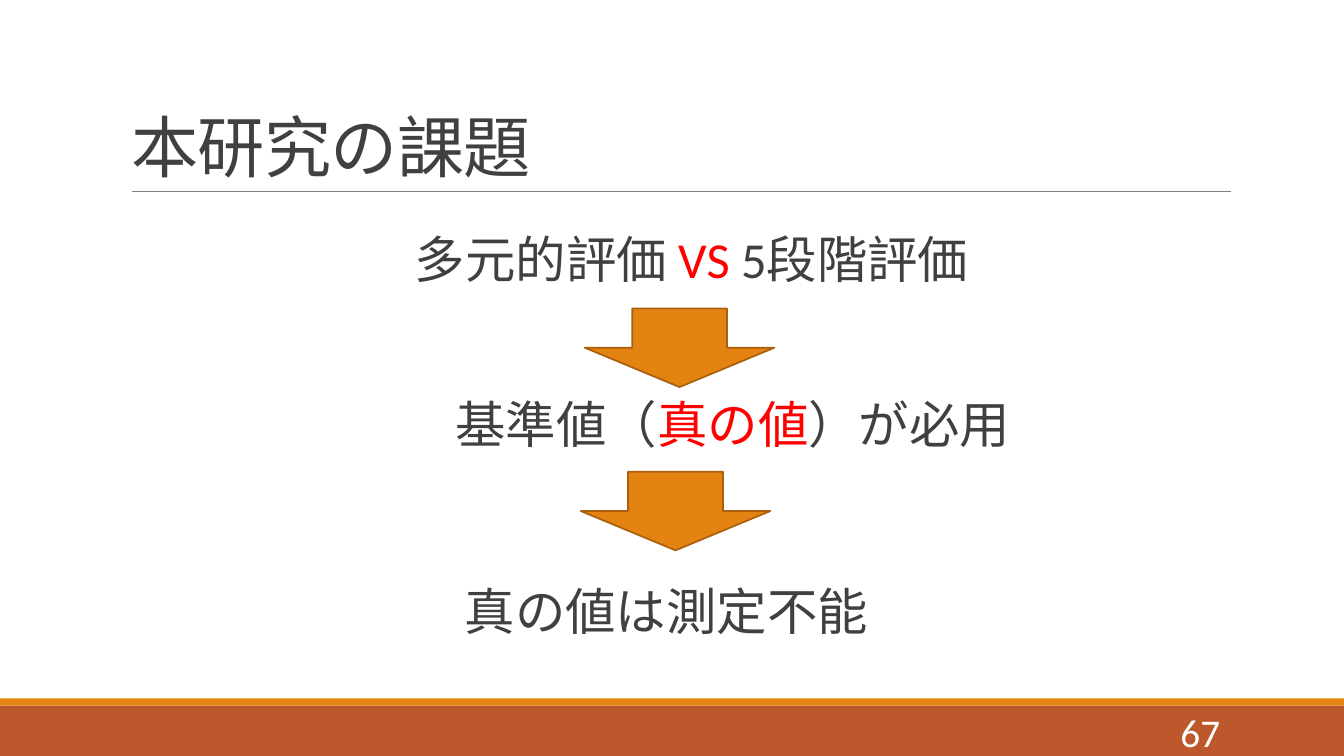
from lxml import etree
from pptx import Presentation
from pptx.dml.color import RGBColor
from pptx.enum.shapes import MSO_CONNECTOR, MSO_SHAPE
from pptx.enum.text import MSO_ANCHOR, PP_ALIGN
from pptx.oxml.ns import qn
from pptx.util import Inches, Pt

DOWN_ARROW, RECTANGLE = MSO_SHAPE.DOWN_ARROW, MSO_SHAPE.RECTANGLE
LEFT, CENTER, RIGHT = PP_ALIGN.LEFT, PP_ALIGN.CENTER, PP_ALIGN.RIGHT
TOP, MIDDLE, BOTTOM = MSO_ANCHOR.TOP, MSO_ANCHOR.MIDDLE, MSO_ANCHOR.BOTTOM

ORANGE = RGBColor(0xE4, 0x83, 0x12)
DARK_ORANGE = RGBColor(0xA9, 0x61, 0x0D)
RUST = RGBColor(0xBD, 0x58, 0x2C)
GRAY = RGBColor(0x80, 0x80, 0x80)
INK = RGBColor(0x40, 0x40, 0x40)
RED = RGBColor(0xFF, 0x00, 0x00)
WHITE = RGBColor(0xFF, 0xFF, 0xFF)
FONT = "Calibri"

# Content: boxes are left, top, width, height in inches
TITLE = "本研究の課題"
TITLE_BOX = (1.2, 0.31, 11, 1.59)
# box, alignment, line spacing, (text, colour) parts
STATEMENTS = [
    ((3.81, 2.28, 6.1, 0.98), CENTER, 0.9,
     [("多元的評価 ", INK), ("VS ", RED), ("5段階評価", INK)]),
    ((4.42, 3.85, 5.93, 0.71), LEFT, 1.0,
     [("基準値（", INK), ("真の値", RED), ("）が必用", INK)]),
    ((4.51, 5.71, 4.79, 0.71), LEFT, 1.0, [("真の値は測定不能", INK)]),
]
ARROW_SIZE = (1.88, 0.78)
ARROW_CORNERS = [(5.8, 3.06), (5.76, 4.68)]
FOOTER_BANDS = [((0, 7, 13.33, 0.5), RUST), ((0, 6.93, 13.33, 0.07), ORANGE)]
PAGE_NUMBER = "67"
PAGE_NUMBER_BOX = (9.43, 7.06, 2.77, 0.4)


def inches(box):
    return [Inches(value) for value in box]


def add_block(slide, kind, box, fill, outline=None):
    block = slide.shapes.add_shape(kind, *inches(box))
    block.shadow.inherit = False
    block.fill.solid()
    block.fill.fore_color.rgb = fill
    if outline:
        block.line.color.rgb = outline
        block.line.width = Pt(1.25)
    else:
        block.line.fill.background()


def write(frame, parts, size, align=LEFT, anchor=TOP, spacing=1.0):
    frame.word_wrap = True
    frame.vertical_anchor = anchor
    line = frame.paragraphs[0]
    line.alignment = align
    line.line_spacing = spacing
    for text, color in parts:
        run = line.add_run()
        run.text = text
        run.font.name = FONT
        run.font.size = Pt(size)
        run.font.color.rgb = color
    return line


def main():
    prs = Presentation()
    prs.slide_width, prs.slide_height = Inches(13.33), Inches(7.5)
    slide = prs.slides.add_slide(prs.slide_layouts[5])

    # Footer bands and the rule under the title
    for box, color in FOOTER_BANDS:
        add_block(slide, RECTANGLE, box, color)
    rule = slide.shapes.add_connector(
        MSO_CONNECTOR.STRAIGHT, *inches((1.31, 1.9, 12.21, 1.9)))
    rule.line.color.rgb = GRAY
    rule.line.width = Pt(0.5)
    etree.SubElement(rule._element.spPr, qn("a:effectLst"))

    # Title, with slightly tightened letters
    title = slide.shapes.title
    title.left, title.top, title.width, title.height = inches(TITLE_BOX)
    heading = write(title.text_frame, [(TITLE, INK)], 48,
                    anchor=BOTTOM, spacing=0.85)
    heading.runs[0].font._element.set("spc", "-50")

    # Chain of statements joined by arrows
    for corner in ARROW_CORNERS:
        add_block(slide, DOWN_ARROW, corner + ARROW_SIZE, ORANGE, DARK_ORANGE)
    for box, align, spacing, parts in STATEMENTS:
        statement = slide.shapes.add_textbox(*inches(box))
        write(statement.text_frame, parts, 36, align, spacing=spacing)

    # Page number
    number = slide.shapes.add_textbox(*inches(PAGE_NUMBER_BOX))
    write(number.text_frame, [(PAGE_NUMBER, WHITE)], 28, RIGHT, MIDDLE)

    prs.save("out.pptx")


if __name__ == "__main__":
    main()
